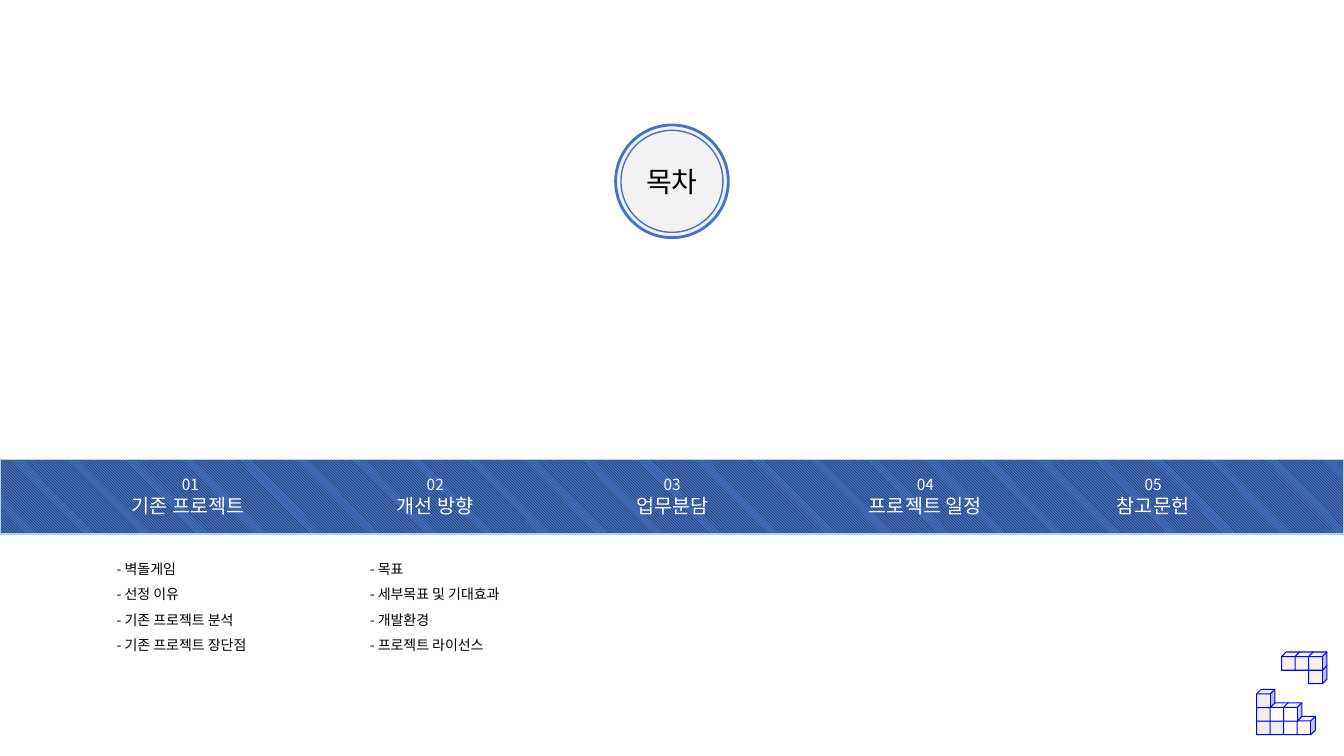
from lxml import etree
from pptx import Presentation
from pptx.dml.color import RGBColor
from pptx.enum import dml, shapes, text
from pptx.oxml.ns import qn
from pptx.util import Cm, Pt

COLOURS = {
    "ink": "000000", "white": "FFFFFF", "blue": "4472C4", "disc": "F2F2F2",
    "band_edge": "B5D2EC", "cube_edge": "0000FF",
    "light": "F3F3F3", "grey": "EFEFEF",
}
FONT = "Noto Sans CJK KR"
WIDTH, HEIGHT = 33.87, 19.05

# left edge of heading, title, (left, width) of the list, list entries
SECTIONS = [
    (2.49, "기존 프로젝트 ", (2.69, 4.19),
     ["벽돌게임", "선정 이유", "기존 프로젝트 분석", "기존 프로젝트 장단점"]),
    (8.66, "개선 방향", (9.07, 3.81),
     ["목표", "세부목표 및 기대효과", "개발환경", "프로젝트 라이선스"]),
    (14.63, "업무분담", None, []),
    (21.01, "프로젝트 일정", None, []),
    (26.75, "참고문헌", None, []),
]

# left, top, rows of cubes from the top: l = light, g = grey, w = white
BLOCKS = [
    (32.3, 16.43, ["lll", "  l"]),
    (31.67, 17.37, ["g", "gww", "ggww"]),
]
CUBE_COLOURS = {"l": "light", "g": "grey", "w": "white"}
CUBE_SIZE, CUBE_STEP = 0.46, 0.34


def rgb(colour):
    return RGBColor.from_string(COLOURS[colour])


class Canvas:
    def __init__(self, slide):
        self.slide = slide

    def shape(self, kind, left, top, width, height, fill, line, weight):
        drawn = self.slide.shapes.add_shape(
            kind, Cm(left), Cm(top), Cm(width), Cm(height))
        drawn.shadow.inherit = False
        drawn.fill.solid()
        drawn.fill.fore_color.rgb = rgb(fill)
        drawn.line.color.rgb = rgb(line)
        drawn.line.width = Pt(weight)
        return drawn

    def disc(self, centre_x, centre_y, diameter, weight):
        self.shape(shapes.MSO_SHAPE.OVAL, centre_x - diameter / 2,
                   centre_y - diameter / 2, diameter, diameter,
                   "disc", "blue", weight)

    def hatched_band(self, top, height):
        band = self.shape(shapes.MSO_SHAPE.RECTANGLE, 0, top, WIDTH, height,
                          "blue", "band_edge", 1)
        band.fill.patterned()
        band.fill.pattern = dml.MSO_PATTERN.LIGHT_DOWNWARD_DIAGONAL
        band.fill.fore_color.rgb = rgb("ink")
        band.fill.back_color.rgb = rgb("blue")

    def text(self, left, top, width, height, lines, colour="ink",
             align=text.PP_ALIGN.CENTER, spacing=None):
        """Write lines, given as (words, point size), one paragraph each."""
        box = self.slide.shapes.add_textbox(
            Cm(left), Cm(top), Cm(width), Cm(height))
        frame = box.text_frame
        frame.word_wrap = True
        frame.auto_size = text.MSO_AUTO_SIZE.SHAPE_TO_FIT_TEXT
        for index, (words, size) in enumerate(lines):
            paragraph = frame.add_paragraph() if index else frame.paragraphs[0]
            paragraph.text = words
            paragraph.alignment = align
            paragraph.line_spacing = spacing
            paragraph.font.size = Pt(size)
            paragraph.font.color.rgb = rgb(colour)
            paragraph.font.name = FONT
            # Hangul takes the East Asian font, which font.name leaves unset
            defaults = paragraph._p.pPr.find(qn("a:defRPr"))
            etree.SubElement(defaults, qn("a:ea"), typeface=FONT)

    def block(self, left, top, rows):
        """Stack cubes from the bottom row up, so that nearer ones overlap."""
        for row, cells in reversed(list(enumerate(rows))):
            for column, cell in enumerate(cells):
                if cell in CUBE_COLOURS:
                    self.shape(shapes.MSO_SHAPE.CUBE, left + column * CUBE_STEP,
                               top + row * CUBE_STEP, CUBE_SIZE, CUBE_SIZE,
                               CUBE_COLOURS[cell], "cube_edge", 0.75)


def main():
    deck = Presentation()
    deck.slide_width, deck.slide_height = Cm(WIDTH), Cm(HEIGHT)
    canvas = Canvas(deck.slides.add_slide(deck.slide_layouts[6]))

    for diameter, weight in [(2.84, 2), (2.57, 1)]:
        canvas.disc(WIDTH / 2, 4.57, diameter, weight)
    canvas.text(15.65, 4.01, 2.57, 1.12, [("목차", 20)])

    canvas.hatched_band(11.58, 1.88)
    for number, (left, title, list_place, entries) in enumerate(SECTIONS, 1):
        canvas.text(left, 11.86, 4.62, 1.32,
                    [(f"{number:02}", 11), (title, 14)], "white")
        if entries:
            list_left, list_width = list_place
            canvas.text(list_left, 13.79, list_width, 2.77,
                        [(f"- {entry}", 10) for entry in entries],
                        align=text.PP_ALIGN.LEFT, spacing=1.5)

    for left, top, rows in BLOCKS:
        canvas.block(left, top, rows)
    deck.save("out.pptx")


if __name__ == "__main__":
    main()
